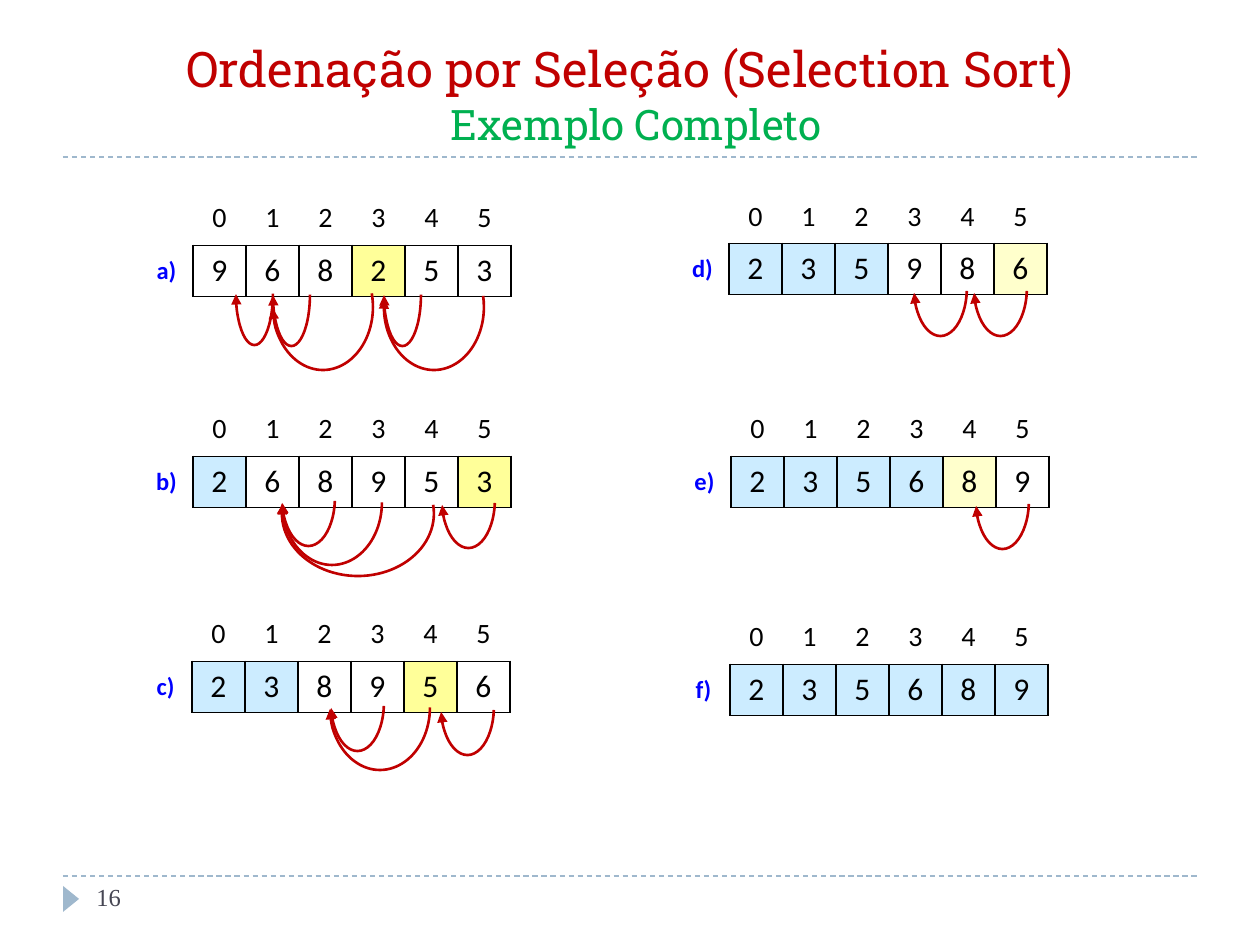
import pptx
import pptx.util
import pptx.dml.color
import pptx.enum.dml
import pptx.enum.shapes
import pptx.enum.text
import pptx.oxml
import pptx.oxml.ns

PX = 7257  # EMU per px, 126 px to the inch
NS = pptx.oxml.ns.nsdecls("a")
SHAPE = pptx.enum.shapes.MSO_SHAPE
ANCHOR = pptx.enum.text.MSO_ANCHOR
CENTER = pptx.enum.text.PP_ALIGN.CENTER


def rgb(code):
    return pptx.dml.color.RGBColor.from_string(code)


def write(p, text, size, color, font="Calibri", bold=False, align=None):
    r = p.add_run()
    r.text = text
    r.font.name = font
    r.font.size = pptx.util.Pt(size)
    r.font.bold = bold
    r.font.color.rgb = rgb(color)
    p.alignment = align


prs = pptx.Presentation()
prs.slide_width = pptx.util.Inches(10)
prs.slide_height = pptx.util.Inches(7.5)
s = prs.slides.add_slide(prs.slide_layouts[6])

# Dashed rules and footer
for y in (876, 157):
    line = s.shapes.add_connector(
        pptx.enum.shapes.MSO_CONNECTOR.STRAIGHT, 63 * PX, y * PX, 1197 * PX, y * PX)
    line.line.color.rgb = rgb("9FB8CD")
    line.line.width = pptx.util.Pt(0.75)
    line.line.dash_style = pptx.enum.dml.MSO_LINE.DASH
    line._element.spPr.append(pptx.oxml.parse_xml(f"<a:effectLst {NS}/>"))

sp = s.shapes.add_shape(SHAPE.ISOSCELES_TRIANGLE, 58 * PX, 891 * PX, 26 * PX, 16 * PX)
sp.rotation = 90
sp.shadow.inherit = False
sp.fill.solid()
sp.fill.fore_color.rgb = rgb("9FB8CD")
sp.line.fill.background()

tf = s.shapes.add_textbox(84 * PX, 876 * PX, 273 * PX, 50 * PX).text_frame
tf.word_wrap = True
write(tf.paragraphs[0], "16", 14, "464653", font="Times New Roman")

# Title
tf = s.shapes.add_textbox(63 * PX, 31 * PX, 1134 * PX, 126 * PX).text_frame
tf.word_wrap = True
tf.vertical_anchor = ANCHOR.BOTTOM
p = tf.paragraphs[0]
p.line_spacing = 0.9
write(p, "Ordenação por Seleção (Selection Sort)", 28, "C00000", font="Roboto Slab")
p.add_line_break()
write(p, " ", 28, "C00000", font="Roboto Slab")
write(p, "Exemplo Completo", 24, "00B050", font="Roboto Slab", align=CENTER)

# Array states: label, left, top, values, sorted count, smallest index, its fill
states = [
    ("a)", 140, 195, "968253", 0, 3, "FFFF99"),
    ("b)", 140, 406, "268953", 1, 5, "FFFF99"),
    ("c)", 139, 611, "238956", 2, 4, "FFFF99"),
    ("d)", 676, 193, "235986", 3, 5, "FFFFCC"),
    ("e)", 678, 406, "235689", 4, 4, "FFFFCC"),
    ("f)", 677, 614, "235689", 6, None, None),
]
for label, x, y, values, done, smallest, mark in states:
    table = s.shapes.add_table(2, 7, x * PX, y * PX, 371 * PX, 98 * PX).table
    table.first_row = table.horz_banding = False
    style = table._tbl.tblPr.find(pptx.oxml.ns.qn("a:tableStyleId"))
    style.text = "{2D5ABB26-0587-4C30-8999-92F81FD0307C}"  # no style, no grid
    table.rows[0].height = 47 * PX
    table.rows[1].height = 51 * PX
    for col in range(7):
        table.columns[col].width = 53 * PX
        head, cell = table.cell(0, col), table.cell(1, col)
        cell.vertical_anchor = ANCHOR.MIDDLE
        for c, sides in ((head, "B" if col else ""), (cell, "LRTB" if col else "R")):
            for side in sides:
                c._tc.get_or_add_tcPr().append(pptx.oxml.parse_xml(
                    f'<a:ln{side} {NS} w="12700"><a:solidFill>'
                    f'<a:srgbClr val="000000"/></a:solidFill></a:ln{side}>'))
            c.fill.background()
        if col == 0:
            write(cell.text_frame.paragraphs[0], label, 14, "0000FF", bold=True, align=CENTER)
            continue
        i = col - 1
        write(head.text_frame.paragraphs[0], str(i), 16, "000000", align=CENTER)
        write(cell.text_frame.paragraphs[0], values[i], 18, "000000", align=CENTER)
        if i < done or i == smallest:
            cell.fill.solid()
            cell.fill.fore_color.rgb = rgb(mark if i == smallest else "CCECFF")

# Comparison arcs: left, top, width, height, start and end in degrees
arcs = [
    (273, 244, 100, 126, 181.7, 15.6),
    (236, 242, 37, 103, 181.7, 0),
    (273, 243, 37, 103, 181.7, 0),
    (384, 244, 100, 126, 170.1, 12.8),
    (384, 243, 37, 103, 181.7, 0),
    (282, 440, 100, 125, 181.7, 0),
    (282, 451, 152, 125, 172.6, 6.6),
    (330, 645, 100, 125, 181.7, 0),
]
short_arcs = [(282, 449), (442, 451), (331, 654), (441, 658), (914, 239), (974, 239), (976, 452)]
arcs += [(x, y, 53, 97, 191.7, 352.6) for x, y in short_arcs]
for x, y, w, h, start, end in arcs:
    sp = s.shapes.add_shape(SHAPE.ARC, x * PX, y * PX, w * PX, h * PX)
    sp.adjustments[0] = start * 0.6  # 60000 per degree, over 100000
    sp.adjustments[1] = end * 0.6
    sp.rotation = 180
    sp._element.spPr.xfrm.set("flipH", "1")
    sp.shadow.inherit = False
    sp.fill.background()
    sp.line.color.rgb = rgb("C00000")
    sp.line.width = pptx.util.Pt(1.5)
    sp.line._get_or_add_ln().append(pptx.oxml.parse_xml(f'<a:headEnd {NS} type="triangle"/>'))

prs.save("out.pptx")
